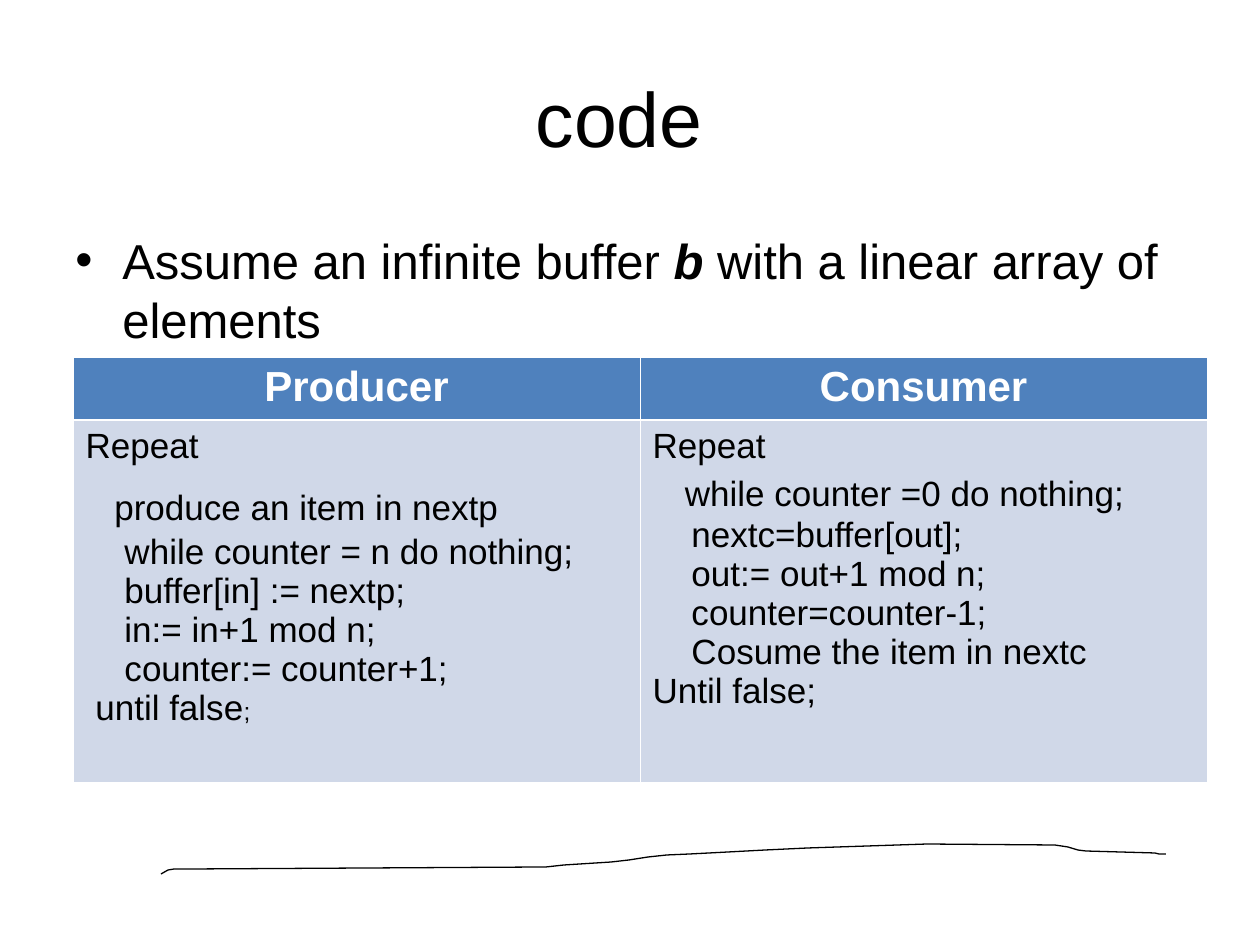
import pptx
import pptx.dml.color
import pptx.enum.text
import pptx.oxml
import pptx.oxml.ns
import pptx.util

RGB = pptx.dml.color.RGBColor
ALIGN = pptx.enum.text.PP_ALIGN
ANCHOR = pptx.enum.text.MSO_ANCHOR
BLACK = RGB(0, 0, 0)
WHITE = RGB(255, 255, 255)
HEADER_BLUE = RGB(0x4F, 0x81, 0xBD)
BODY_BLUE = RGB(0xD0, 0xD8, 0xE8)
FONT = "Arial"
INDENT_FONT = "Lato"
THIN, THICK = 0.45, 1.47


def px(n):
    return pptx.util.Emu(round(n * 914400 / 126))


def xml(tag, body="", **attrs):
    pairs = "".join(f' {k}="{v}"' for k, v in attrs.items())
    ns = pptx.oxml.ns.nsdecls("a")
    return pptx.oxml.parse_xml(f"<a:{tag} {ns}{pairs}>{body}</a:{tag}>")


class Slide:
    def __init__(self, prs):
        self.s = prs.slides.add_slide(prs.slide_layouts[5])

    def run(self, p, text, size, color=BLACK, font=FONT, bold=False, italic=False):
        r = p.add_run()
        r.text = text
        f = r.font
        f.name, f.size, f.bold, f.italic = font, pptx.util.Pt(size), bold, italic
        f.color.rgb = color

    def title(self, text, x, y, w, h):
        sp = self.s.shapes.title
        sp.left, sp.top, sp.width, sp.height = map(px, (x, y, w, h))
        sp.text_frame.vertical_anchor = ANCHOR.MIDDLE
        p = sp.text_frame.paragraphs[0]
        p.alignment = ALIGN.CENTER
        self.run(p, text, 44)

    def bullet(self, runs, x, y, w, h, size, indent):
        tf = self.s.shapes.add_textbox(*map(px, (x, y, w, h))).text_frame
        tf.word_wrap = True
        p = tf.paragraphs[0]
        pPr = p._p.get_or_add_pPr()
        pPr.set("marL", str(px(indent)))
        pPr.set("indent", str(-px(indent)))
        pPr.append(xml("buFont", typeface=FONT))
        pPr.append(xml("buChar", char="•"))
        for text, strong in runs:
            self.run(p, text, size, bold=strong, italic=strong)

    def curve(self, points):
        builder = self.s.shapes.build_freeform(*points[0], scale=px(1))
        builder.add_line_segments(points[1:], close=False)
        sp = builder.convert_to_shape()
        sp.shadow.inherit = False
        sp.fill.background()
        sp.line.color.rgb = BLACK
        sp.line.width = pptx.util.Pt(0.75)

    def style_cell(self, cell, fill, top, bottom):
        """Fill a cell and give it white borders."""
        tcPr = cell._tc.get_or_add_tcPr()
        for side, width in zip("LRTB", (THIN, THIN, top, bottom)):
            line = f'<a:solidFill><a:srgbClr val="{WHITE}"/></a:solidFill>'
            tcPr.append(xml(f"ln{side}", line, w=pptx.util.Pt(width)))
        cell.fill.solid()
        cell.fill.fore_color.rgb = fill

    def table(self, columns, x, y, col_w, row_heights):
        """Draw columns given as (heading, code lines), each line a list of runs."""
        frame = self.s.shapes.add_table(2, len(columns), px(x), px(y),
                                        px(col_w * len(columns)), px(sum(row_heights)))
        table = frame.table
        for row, height in zip(table.rows, row_heights):
            row.height = px(height)
        for i, (heading, lines) in enumerate(columns):
            table.columns[i].width = px(col_w)
            head, body = table.cell(0, i), table.cell(1, i)
            self.style_cell(head, HEADER_BLUE, THIN, THICK)
            self.style_cell(body, BODY_BLUE, THICK, THIN)
            p = head.text_frame.paragraphs[0]
            p.alignment = ALIGN.CENTER
            self.run(p, heading, 24, WHITE, bold=True)
            tf = body.text_frame
            for n, runs in enumerate(lines):
                p = tf.add_paragraph() if n else tf.paragraphs[0]
                for text, size, font in runs:
                    self.run(p, text, size, font=font)


def code(text):
    return [(text, 20, FONT)]


PRODUCER = [
    code("Repeat"),
    [("  ", 32, INDENT_FONT)] + code("produce an item in nextp"),
    code("    while counter = n do nothing;"),
    code("    buffer[in] := nextp;"),
    code("    in:= in+1 mod n;"),
    code("    counter:= counter+1;"),
    code(" until false") + [(";", 14, FONT)],
]
CONSUMER = [
    code("Repeat"),
    [("   ", 24, INDENT_FONT)] + code("while counter =0 do nothing;"),
    code("    nextc=buffer[out];"),
    code("    out:= out+1 mod n;"),
    code("    counter=counter-1;"),
    code("    Cosume the item in nextc"),
    code("Until false;"),
]
STROKE = [
    (161, 874), (168, 870), (174, 869), (188, 869), (546, 867), (564, 865),
    (611, 862), (629, 860), (648, 857), (667, 855), (690, 854), (728, 852),
    (765, 850), (808, 848), (927, 844), (1055, 845), (1068, 847), (1078, 850),
    (1086, 851), (1155, 853), (1159, 854), (1166, 854),
]


def main():
    prs = pptx.Presentation()
    prs.slide_width, prs.slide_height = px(1260), px(945)
    slide = Slide(prs)
    slide.curve(STROKE)
    slide.title("code ", 63, 38, 1134, 158)
    columns = [("Producer", PRODUCER), ("Consumer", CONSUMER)]
    slide.table(columns, 73, 357, 567, (63, 362))
    sentence = [("Assume an infinite buffer ", False), ("b ", True),
                ("with a linear array of elements", False)]
    slide.bullet(sentence, 63, 224, 1134, 136, 28, 47)
    prs.save("out.pptx")


if __name__ == "__main__":
    main()
